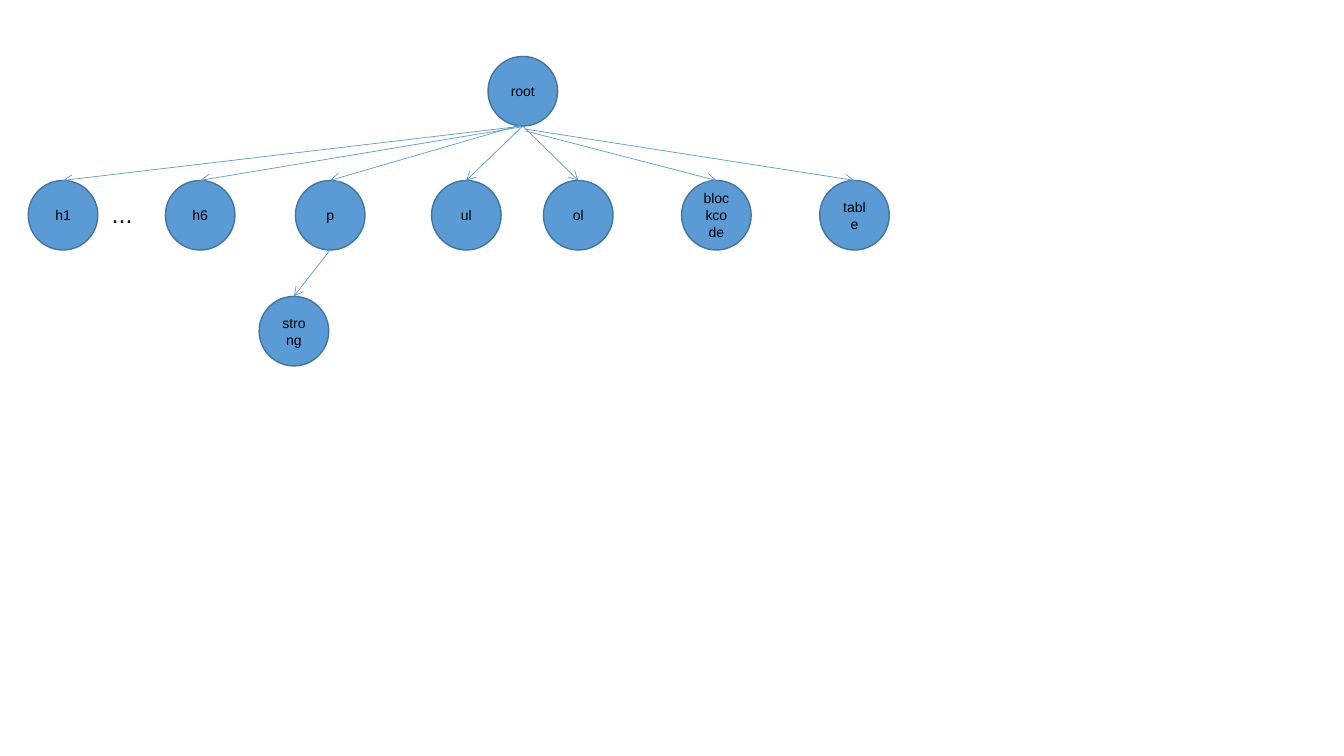
from lxml import etree
from pptx import Presentation
from pptx.dml.color import RGBColor
from pptx.enum.shapes import MSO_CONNECTOR, MSO_SHAPE
from pptx.enum.text import MSO_ANCHOR, MSO_AUTO_SIZE, PP_ALIGN
from pptx.oxml.ns import qn
from pptx.util import Inches, Pt

OVAL = MSO_SHAPE.OVAL
STRAIGHT = MSO_CONNECTOR.STRAIGHT
MIDDLE = MSO_ANCHOR.MIDDLE
CENTER = PP_ALIGN.CENTER
FIT_SHAPE = MSO_AUTO_SIZE.SHAPE_TO_FIT_TEXT

# Content: left edge of each node, by tree level
LEVELS = [
    (0.56, {"root": 4.84}),
    (1.79, {"h1": 0.28, "h6": 1.64, "p": 2.93, "ul": 4.28,
            "ol": 5.39, "blockcode": 6.76, "table": 8.13}),
    (2.94, {"strong": 2.57}),
]

# Parent, child, and shift of the start from the parent's bottom point
EDGES = [
    ("root", "h1", (0, 0)),
    ("root", "h6", (-0.02, 0.01)),
    ("root", "p", (-0.02, -0.01)),
    ("root", "ul", (0, 0)),
    ("p", "strong", (0, 0)),
    ("root", "ol", (0, 0)),
    ("root", "blockcode", (0.03, 0.05)),
    ("root", "table", (0.02, 0.03)),
]

COLORS = {"node": "5B9BD5", "outline": "43739E", "edge": "5B9BD5", "text": "000000"}
FONT = "Arial"
DIAMETER = 0.69


def color(name):
    return RGBColor.from_string(COLORS[name])


def write(frame, text, size):
    frame.text = text
    frame.word_wrap = True
    font = frame.paragraphs[0].runs[0].font
    font.name, font.size = FONT, Pt(size)
    font.color.rgb = color("text")


def add_node(label, left, top):
    node = slide.shapes.add_shape(
        OVAL, Inches(left), Inches(top), Inches(DIAMETER), Inches(DIAMETER))
    node.shadow.inherit = False
    node.fill.solid()
    node.fill.fore_color.rgb = color("node")
    node.line.color.rgb = color("outline")
    node.line.width = Pt(1)
    write(node.text_frame, label, 10)
    node.text_frame.vertical_anchor = MIDDLE
    node.text_frame.paragraphs[0].alignment = CENTER


def add_edge(start, end):
    edge = slide.shapes.add_connector(STRAIGHT, *map(Inches, start + end))
    edge.line.color.rgb = color("edge")
    edge.line.width = Pt(0.5)
    etree.SubElement(edge.line._get_or_add_ln(), qn("a:tailEnd"), type="arrow")
    etree.SubElement(edge._element.spPr, qn("a:effectLst"))


prs = Presentation()
prs.slide_width, prs.slide_height = Inches(13.33), Inches(7.5)
slide = prs.slides.add_slide(prs.slide_layouts[6])

# Nodes
corners = {}
for top, level in LEVELS:
    for label, left in level.items():
        add_node(label, left, top)
        corners[label] = (left, top)

# Ellipsis between h1 and h6
ellipsis = slide.shapes.add_textbox(
    Inches(1.01), Inches(1.92), Inches(0.52), Inches(0.4))
write(ellipsis.text_frame, "...", 18)
ellipsis.text_frame.auto_size = FIT_SHAPE

# Arrows from the bottom of a parent to the top of its child
for parent, child, (dx, dy) in EDGES:
    parent_left, parent_top = corners[parent]
    child_left, child_top = corners[child]
    add_edge((parent_left + DIAMETER / 2 + dx, parent_top + DIAMETER + dy),
             (child_left + DIAMETER / 2, child_top))

prs.save("out.pptx")
